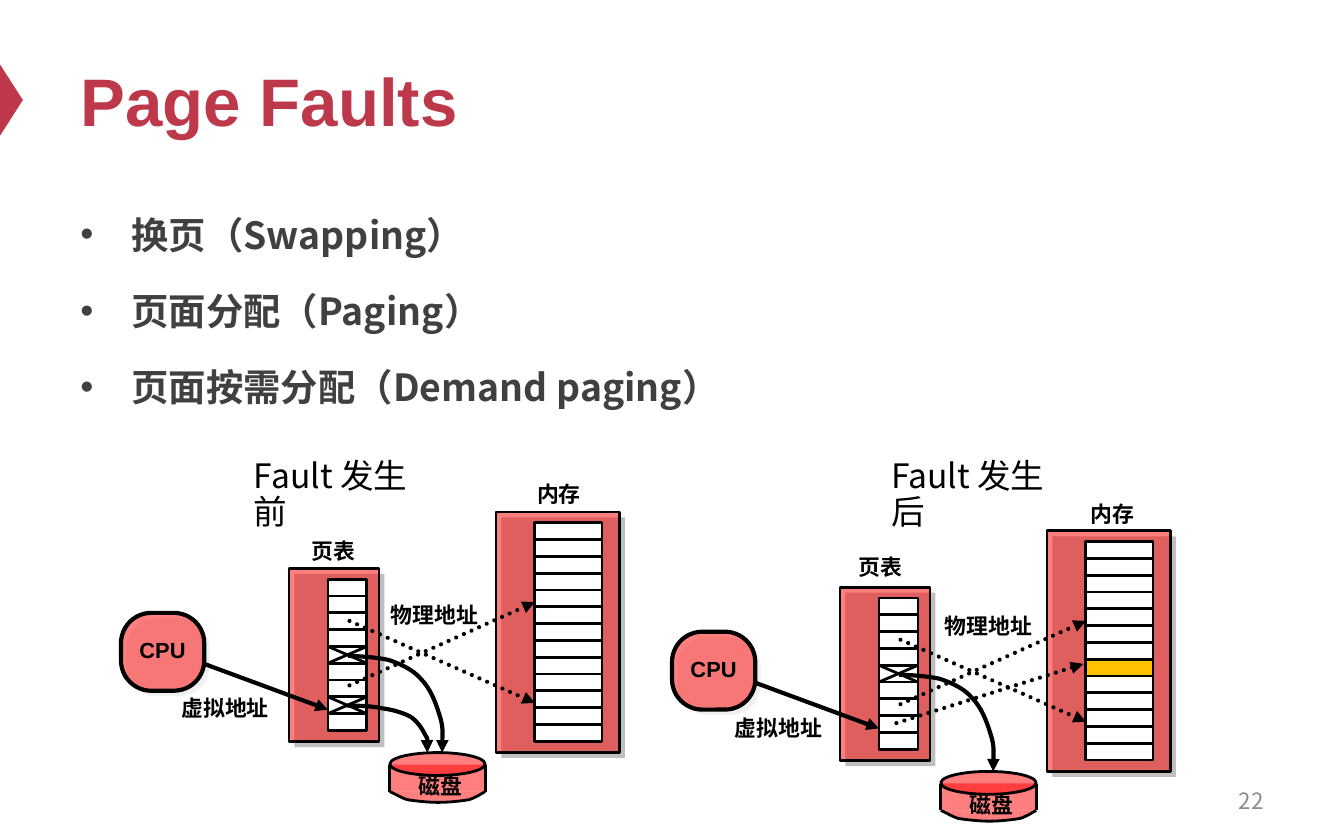
from dataclasses import dataclass
from lxml import etree
from pptx import Presentation
from pptx import util as u
from pptx.dml.color import RGBColor
from pptx.enum import dml, shapes, text
from pptx.oxml.ns import qn

Inches, Pt = u.Inches, u.Pt
MSO = shapes.MSO_SHAPE
ALIGN = text.PP_ALIGN


@dataclass(frozen=True)
class Theme:
    accent: str = "BE384B"
    body: str = "404040"
    muted: str = "8C8C8C"
    ink: str = "000000"
    paper: str = "FFFFFF"
    red: str = "FF0000"
    loaded: str = "FFC000"
    shadow: str = "BFBFBF"
    cpu_shadow: str = "F0F0F0"
    latin: str = "Arial"
    cjk: str = "Noto Sans CJK SC"
    title_pt: float = 36
    body_pt: float = 20
    caption_pt: float = 18
    number_pt: float = 12
    label_pt: float = 11.7
    thin: float = 1.5
    thick: float = 2.25


T = Theme()
CELL = 0.125
# Bezier control points: a start, then three points for each segment
UPPER_FAULT = [(1.69, 1.07), (1.74, 1.07), (1.9, 1.08), (1.99, 1.1), (2.08, 1.13),
               (2.17, 1.17), (2.23, 1.24), (2.3, 1.31), (2.34, 1.41), (2.37, 1.51),
               (2.4, 1.6), (2.39, 1.73), (2.39, 1.79)]
LOWER_FAULT = [(1.68, 1.44), (1.72, 1.44), (1.86, 1.44), (1.94, 1.46), (2.02, 1.47),
               (2.09, 1.49), (2.15, 1.52), (2.2, 1.55), (2.24, 1.61), (2.26, 1.65),
               (2.29, 1.7), (2.28, 1.76), (2.28, 1.79)]
DISK_BASE = [(0, 0.29), (0.03, 0.3), (0.07, 0.33), (0.13, 0.35), (0.19, 0.36),
             (0.29, 0.37), (0.36, 0.37), (0.44, 0.37), (0.53, 0.36), (0.59, 0.35),
             (0.65, 0.33), (0.69, 0.3), (0.71, 0.29)]


def rgb(c):
    return RGBColor.from_string(c)


def style_text(tf, size, color, font, bold=False, align=ALIGN.LEFT, spacing=1.0):
    for p in tf.paragraphs:
        p.alignment, p.line_spacing = align, spacing
        for r in p.runs:
            f = r.font
            f.size, f.bold, f.name = Pt(size), bold, font
            f.color.rgb = rgb(color)
            ea = etree.SubElement(r._r.get_or_add_rPr(), qn("a:ea"))
            ea.set("typeface", T.cjk)


def set_insets(tf, x=0.08, y=0.04):
    tf.margin_left = tf.margin_right = Inches(x)
    tf.margin_top = tf.margin_bottom = Inches(y)


def paint(sp, fill=None, line=None, alpha=None):
    sp.shadow.inherit = False
    if fill:
        sp.fill.solid()
        sp.fill.fore_color.rgb = rgb(fill)
        if alpha:
            clr = sp._element.spPr.find(qn("a:solidFill")).find(qn("a:srgbClr"))
            etree.SubElement(clr, qn("a:alpha")).set("val", str(alpha * 1000))
    else:
        sp.fill.background()
    if line:
        sp.line.color.rgb = rgb(T.ink)
        sp.line.width = Pt(line)
    else:
        sp.line.fill.background()
    return sp


def add_box(s, kind, x, y, w, h, fill, line=None, alpha=None):
    sp = s.shapes.add_shape(kind, Inches(x), Inches(y), Inches(w), Inches(h))
    return paint(sp, fill, line, alpha)


def add_arrowhead(line):
    etree.SubElement(line._get_or_add_ln(), qn("a:tailEnd")).set("type", "triangle")


def add_line(s, x, y, start, end, width=T.thin, dotted=False, arrow=False):
    c = s.shapes.add_connector(shapes.MSO_CONNECTOR.STRAIGHT,
                               Inches(x + start[0]), Inches(y + start[1]),
                               Inches(x + end[0]), Inches(y + end[1]))
    c.line.color.rgb = rgb(T.ink)
    c.line.width = Pt(width)
    if dotted:
        c.line.dash_style = dml.MSO_LINE.ROUND_DOT
        c.line._get_or_add_ln().set("cap", "rnd")
    if arrow:
        add_arrowhead(c.line)
    etree.SubElement(c._element.spPr, qn("a:effectLst"))


def add_curve(s, x, y, controls):
    """Draw an open path of cubic Bezier segments."""
    start, *points = [(Inches(x + a), Inches(y + b)) for a, b in controls]
    fb = s.shapes.build_freeform(*start)
    fb.add_line_segments(points, close=False)
    sp = fb.convert_to_shape()
    outline = next(sp._element.iter(qn("a:path")))
    segments = outline.findall(qn("a:lnTo"))
    for i in range(0, len(segments), 3):
        curve = etree.SubElement(outline, qn("a:cubicBezTo"))
        for seg in segments[i:i + 3]:
            curve.append(seg[0])
            outline.remove(seg)
    return sp


def add_text(s, x, y, w, h, words, wrap=False):
    tf = s.shapes.add_textbox(Inches(x), Inches(y), Inches(w), Inches(h)).text_frame
    tf.word_wrap = wrap
    set_insets(tf)
    tf.text = words
    return tf


def add_label(s, x, y, w, words):
    tf = add_text(s, x, y, w, 0.25, words)
    style_text(tf, T.label_pt, T.ink, T.latin, True, ALIGN.CENTER, 0.9)


def draw_cpu(s, x, y, w, h):
    for d, look in ((0.04, (T.cpu_shadow,)), (0, (T.red, T.thick, 50))):
        sp = add_box(s, MSO.ROUNDED_RECTANGLE, x + d, y + d, w, h, *look)
        sp.adjustments[0] = 0.39
    tf = sp.text_frame
    tf.text, tf.word_wrap = "CPU", False
    tf.vertical_anchor = text.MSO_ANCHOR.MIDDLE
    set_insets(tf)
    style_text(tf, T.label_pt, T.ink, T.latin, True, ALIGN.CENTER, 0.9)


def draw_cells(s, x, y, w, h, cells, cell_w, crossed=(), loaded=None):
    """Draw a shadowed panel with a column of cells near its right side."""
    add_box(s, MSO.RECTANGLE, x + 0.04, y + 0.04, w, h, T.shadow)
    add_box(s, MSO.RECTANGLE, x, y, w, h, T.red, T.thin, 50)
    left, top = x + 0.29, y + 0.08
    for i in range(cells):
        add_box(s, MSO.RECTANGLE, left, top + i * CELL, cell_w, CELL,
                T.loaded if i == loaded else T.paper, T.thin)
    for i in crossed:
        add_line(s, left, top + i * CELL, (0, CELL), (cell_w, 0))
        add_line(s, left, top + i * CELL, (0, 0), (cell_w, CELL))


def draw_disk(s, x, y, w):
    add_box(s, MSO.RECTANGLE, x, y + 0.09, w, 0.2, T.red, alpha=50)
    add_box(s, MSO.OVAL, x, y, w, 0.17, T.red, T.thin, 50)
    for side in (0, w):
        add_line(s, x, y, (side, 0.09), (side, 0.29))
    paint(add_curve(s, x, y, DISK_BASE), T.red, T.thin, 50)
    add_label(s, x + 0.13, y + 0.13, 0.5, "磁盘")


def draw_paging(s, x, y, crossed, faults, mappings, labels, loaded=None):
    draw_cpu(s, x, y + 0.75, 0.62, 0.58)
    draw_cells(s, x + 2.79, y, 0.92, 1.79, 13, 0.5, loaded=loaded)
    draw_cells(s, x + 1.25, y + 0.42, 0.67, 1.29, 9, 0.29, crossed)
    draw_disk(s, x + 2, y + 1.79, 0.71)
    for start, end in mappings:
        add_line(s, x, y, start, end, T.thick, dotted=True, arrow=True)
    for controls in faults:
        sp = paint(add_curve(s, x, y, controls), line=T.thick)
        add_arrowhead(sp.line)
    add_line(s, x, y, (0.62, 1.13), (1.54, 1.47), T.thick, arrow=True)
    for words, (dx, dy, w) in labels.items():
        add_label(s, x + dx, y + dy, w, words)


def draw_title(s, x, y, w, h):
    mark = add_box(s, MSO.ISOSCELES_TRIANGLE, -0.18, 0.66, 0.53, 0.17, T.accent)
    mark.rotation = 90
    t = s.shapes.title
    t.left, t.top, t.width, t.height = map(Inches, (x, y, w, h))
    tf = t.text_frame
    tf.text = "Page Faults"
    tf.vertical_anchor = text.MSO_ANCHOR.MIDDLE
    style_text(tf, T.title_pt, T.accent, T.latin, True)


def draw_bullets(s, x, y, w, h, items):
    tf = add_text(s, x, y, w, h, "\n".join(items), wrap=True)
    set_insets(tf, 0.1, 0.05)
    for i, p in enumerate(tf.paragraphs):
        pPr = p._p.get_or_add_pPr()
        pPr.set("marL", str(Inches(0.38)))
        pPr.set("indent", str(Inches(-0.38)))
        etree.SubElement(pPr, qn("a:buFont")).set("typeface", T.latin)
        etree.SubElement(pPr, qn("a:buChar")).set("char", "•")
        if i:
            p.space_before = Pt(12)
    style_text(tf, T.body_pt, T.body, T.cjk, True, spacing=1.2)


def main():
    prs = Presentation()
    prs.slide_width, prs.slide_height = Inches(10), Inches(6.25)
    s = prs.slides.add_slide(prs.slide_layouts[5])
    draw_title(s, 0.5, 0.25, 9, 0.98)
    draw_bullets(s, 0.5, 1.46, 9, 1.7,
                 ["换页（Swapping）", "页面分配（Paging）", "页面按需分配（Demand paging）"])
    mappings = [((1.7, 0.81), (3.08, 1.42)), ((1.7, 1.29), (3.08, 0.67))]
    draw_paging(s, 0.9, 3.81, (4, 7), [UPPER_FAULT, LOWER_FAULT], mappings,
                {"内存": (3.01, -0.25, 0.5), "页表": (1.33, 0.17, 0.5),
                 "虚拟地址": (0.36, 1.34, 0.83), "物理地址": (1.92, 0.65, 0.83)})
    draw_paging(s, 5, 3.95, (4,), [UPPER_FAULT], mappings + [((1.67, 1.43), (3.06, 0.99))],
                {"内存": (3.03, -0.24, 0.5), "页表": (1.3, 0.15, 0.5),
                 "虚拟地址": (0.38, 1.35, 0.83), "物理地址": (1.94, 0.59, 0.83)}, loaded=7)
    for x, words in ((1.81, "Fault 发生前"), (6.55, "Fault 发生后")):
        tf = add_text(s, x, 3.38, 1.45, 0.62, words, wrap=True)
        style_text(tf, T.caption_pt, T.ink, T.cjk, spacing=0.9)
    tf = add_text(s, 7.17, 5.79, 2.33, 0.33, "22", wrap=True)
    set_insets(tf, 0.1, 0.05)
    tf.vertical_anchor = text.MSO_ANCHOR.MIDDLE
    style_text(tf, T.number_pt, T.muted, T.cjk, align=ALIGN.RIGHT)
    prs.save("out.pptx")


if __name__ == "__main__":
    main()
